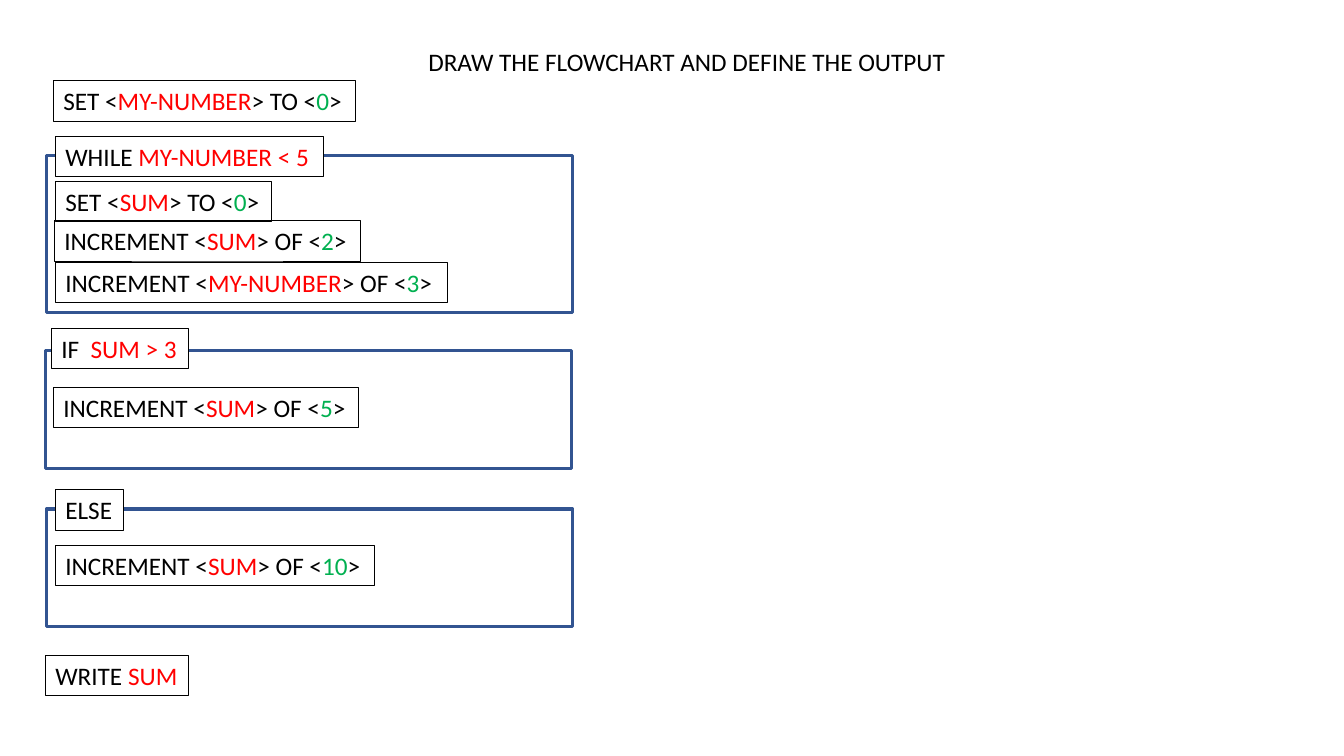
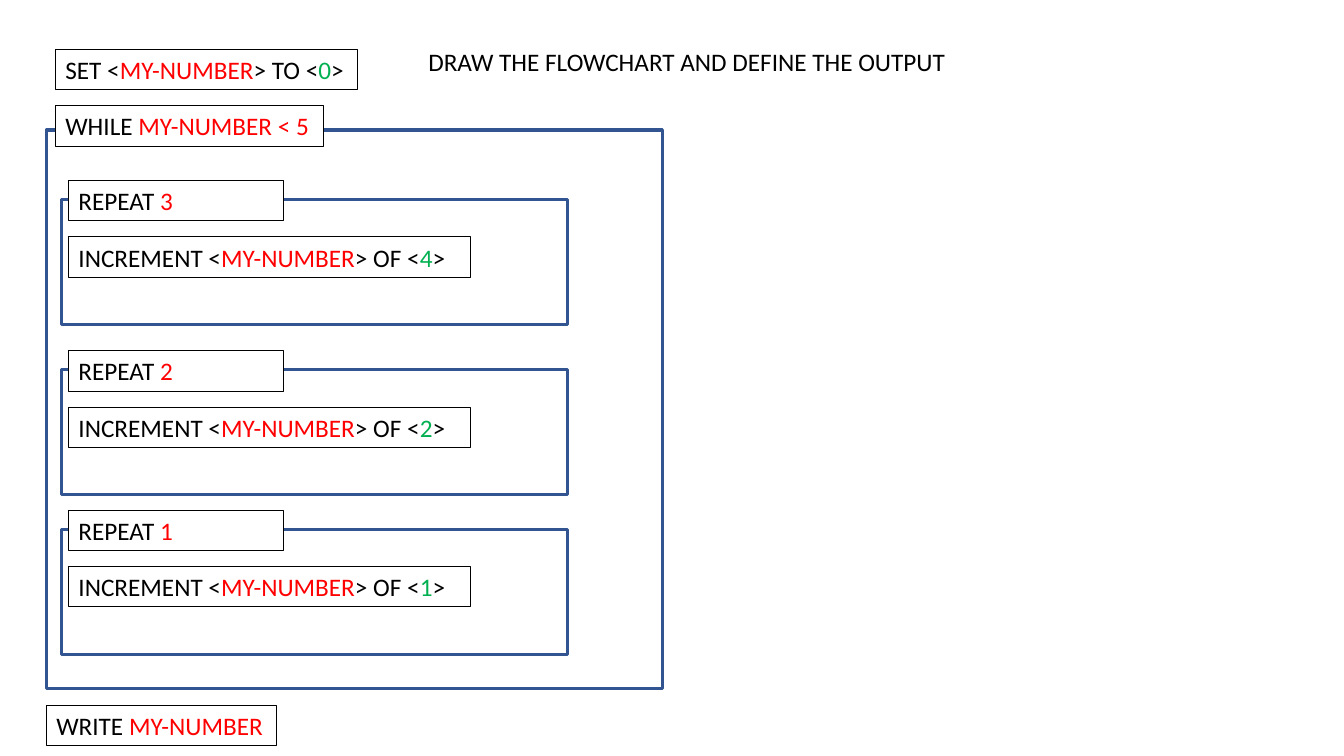
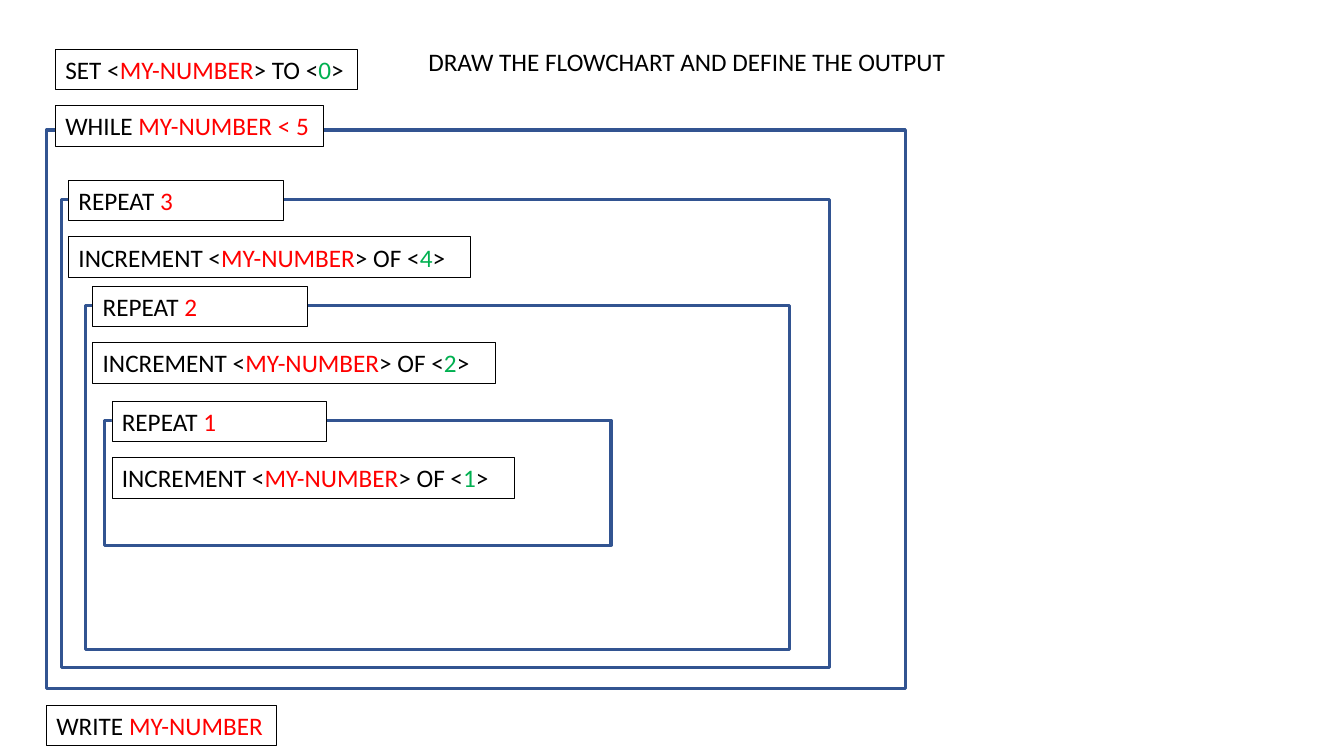
"""Build three pseudocode exercises whose flowcharts the reader has to draw."""

from dataclasses import dataclass

from pptx import Presentation
from pptx.dml.color import RGBColor
from pptx.enum.shapes import MSO_SHAPE
from pptx.enum.text import MSO_AUTO_SIZE
from pptx.slide import Slide
from pptx.util import Inches, Pt

RECTANGLE = MSO_SHAPE.RECTANGLE
GROW = MSO_AUTO_SIZE.SHAPE_TO_FIT_TEXT


@dataclass(frozen=True)
class Theme:
    text: RGBColor = RGBColor(0x00, 0x00, 0x00)
    variable: RGBColor = RGBColor(0xFF, 0x00, 0x00)
    value: RGBColor = RGBColor(0x00, 0xB0, 0x50)
    frame: RGBColor = RGBColor(0x32, 0x54, 0x91)
    paper: RGBColor = RGBColor(0xFF, 0xFF, 0xFF)
    font: str = "Calibri"
    size: Pt = Pt(18)
    frame_width: Pt = Pt(2.25)
    box_width: Pt = Pt(0.5)


THEME = Theme()
FONT_FORMAT = {"name": THEME.font, "size": THEME.size}
Runs = tuple[tuple[str, RGBColor], ...]


@dataclass(frozen=True)
class Frame:
    left: float
    top: float
    width: float
    height: float


@dataclass(frozen=True)
class Statement:
    left: float
    top: float
    width: float
    runs: Runs
    filled: bool = False
    outlined: bool = True
    wrapped: bool = False


@dataclass(frozen=True)
class Repeat:
    frame: Frame
    count: int
    step: int


def keyword(word: str, operand: str = "") -> Runs:
    return ((word, THEME.text), (operand, THEME.variable))


def assignment(verb: str, variable: str, link: str, value: int) -> Runs:
    return (
        (f"{verb} <", THEME.text),
        (variable, THEME.variable),
        (f"> {link} <", THEME.text),
        (str(value), THEME.value),
        (">", THEME.text),
    )


def set_to_zero(variable: str) -> Runs:
    return assignment("SET", variable, "TO", 0)


def increment(variable: str, step: int) -> Runs:
    return assignment("INCREMENT", variable, "OF", step)


TITLE = Statement(
    4.15, 0.41, 5.38,
    keyword("DRAW THE FLOWCHART AND DEFINE THE OUTPUT"), outlined=False,
)
WHILE_RUNS = keyword("WHILE ", "MY-NUMBER < 5")

SUM_FRAMES = (
    Frame(0.46, 1.54, 5.22, 1.56),
    Frame(0.45, 3.48, 5.22, 1.17),
    Frame(0.46, 5.05, 5.22, 1.17),
)
SUM_STATEMENTS = (
    Statement(0.53, 0.8, 3, set_to_zero("MY-NUMBER")),
    Statement(0.55, 1.8, 2.14, set_to_zero("SUM")),
    Statement(0.55, 1.35, 2.66, WHILE_RUNS, filled=True),
    Statement(0.54, 2.19, 3.03, increment("SUM", 2)),
    Statement(0.55, 2.6, 3.89, increment("MY-NUMBER", 3)),
    Statement(0.51, 3.26, 1.36, keyword("IF  ", "SUM > 3"), filled=True),
    Statement(0.53, 3.84, 3.03, increment("SUM", 5)),
    Statement(0.55, 4.86, 0.67, keyword("ELSE"), filled=True),
    Statement(0.55, 5.41, 3.16, increment("SUM", 10)),
    Statement(0.45, 6.5, 1.42, keyword("WRITE ", "SUM")),
)

LOOP_STATEMENTS = (
    Statement(0.55, 0.49, 3, set_to_zero("MY-NUMBER")),
    Statement(0.55, 1.05, 2.66, WHILE_RUNS, filled=True),
    Statement(0.46, 7, 2.28, keyword("WRITE ", "MY-NUMBER")),
)
SEQUENTIAL_REPEATS = (
    Repeat(Frame(0.61, 1.98, 5.02, 1.24), 3, 4),
    Repeat(Frame(0.61, 3.67, 5.02, 1.24), 2, 2),
    Repeat(Frame(0.61, 5.25, 5.02, 1.24), 1, 1),
)
NESTED_REPEATS = (
    Repeat(Frame(0.61, 1.98, 7.62, 4.64), 3, 4),
    Repeat(Frame(0.85, 3.03, 6.98, 3.41), 2, 2),
    Repeat(Frame(1.04, 4.17, 5.02, 1.24), 1, 1),
)


def draw_frame(slide: Slide, frame: Frame) -> None:
    shape = slide.shapes.add_shape(
        RECTANGLE, Inches(frame.left), Inches(frame.top),
        Inches(frame.width), Inches(frame.height),
    )
    shape.shadow.inherit = False
    shape.fill.background()
    shape.line.color.rgb = THEME.frame
    shape.line.width = THEME.frame_width


def draw_statement(slide: Slide, statement: Statement) -> None:
    box = slide.shapes.add_textbox(
        Inches(statement.left), Inches(statement.top),
        Inches(statement.width), Inches(0.4),
    )
    if statement.filled:
        box.fill.solid()
        box.fill.fore_color.rgb = THEME.paper
    if statement.outlined:
        box.line.color.rgb = THEME.text
        box.line.width = THEME.box_width
    box.text_frame.word_wrap = statement.wrapped
    box.text_frame.auto_size = GROW
    paragraph = box.text_frame.paragraphs[0]
    for text, color in statement.runs:
        if text:
            run = paragraph.add_run()
            run.text = text
            run.font.color.rgb = color
            for attribute, value in FONT_FORMAT.items():
                setattr(run.font, attribute, value)


def draw_repeat(slide: Slide, repeat: Repeat) -> None:
    frame = repeat.frame
    left = frame.left + 0.07
    draw_frame(slide, frame)
    label = keyword("REPEAT", f" {repeat.count}")
    body = increment("MY-NUMBER", repeat.step)
    draw_statement(slide, Statement(left, frame.top - 0.19, 2.13, label, filled=True, wrapped=True))
    draw_statement(slide, Statement(left, frame.top + 0.37, 3.99, body, wrapped=True))


def add_exercise(
    presentation: Presentation,
    frames: tuple[Frame, ...],
    statements: tuple[Statement, ...],
    repeats: tuple[Repeat, ...] = (),
) -> None:
    slide = presentation.slides.add_slide(presentation.slide_layouts[6])
    for frame in frames:
        draw_frame(slide, frame)
    for statement in (TITLE, *statements):
        draw_statement(slide, statement)
    for repeat in repeats:
        draw_repeat(slide, repeat)


def main() -> None:
    presentation = Presentation()
    presentation.slide_width = Inches(13.33)
    presentation.slide_height = Inches(7.5)
    add_exercise(presentation, SUM_FRAMES, SUM_STATEMENTS)
    for width, repeats in ((6.11, SEQUENTIAL_REPEATS), (8.52, NESTED_REPEATS)):
        add_exercise(presentation, (Frame(0.46, 1.29, width, 5.54),), LOOP_STATEMENTS, repeats)
    presentation.save("out.pptx")


if __name__ == "__main__":
    main()
